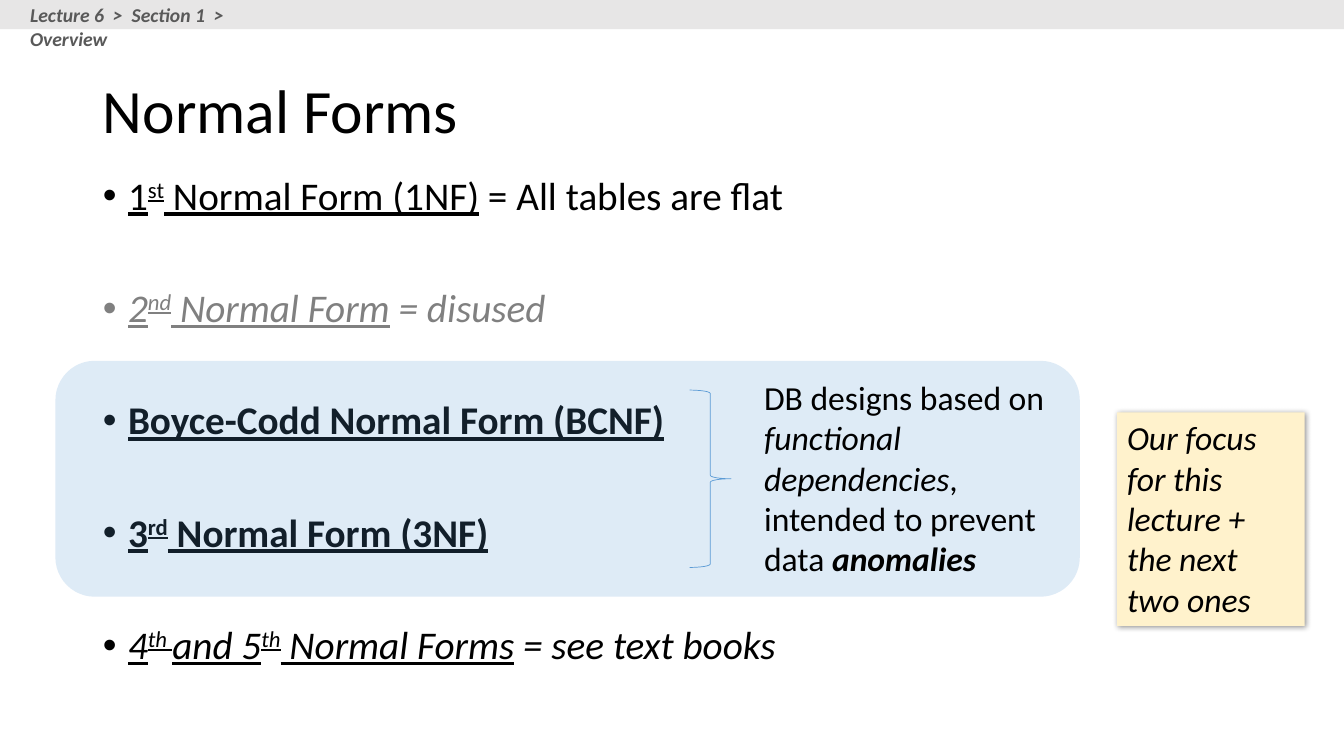
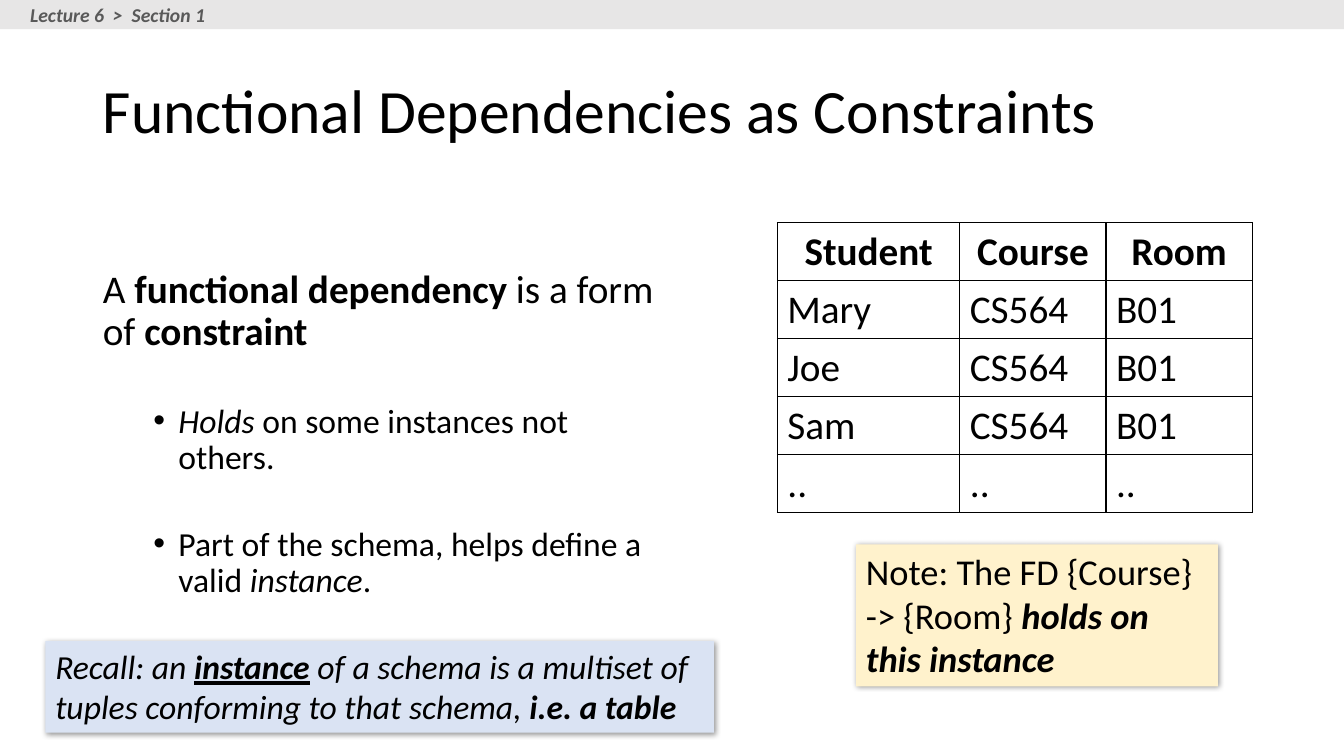
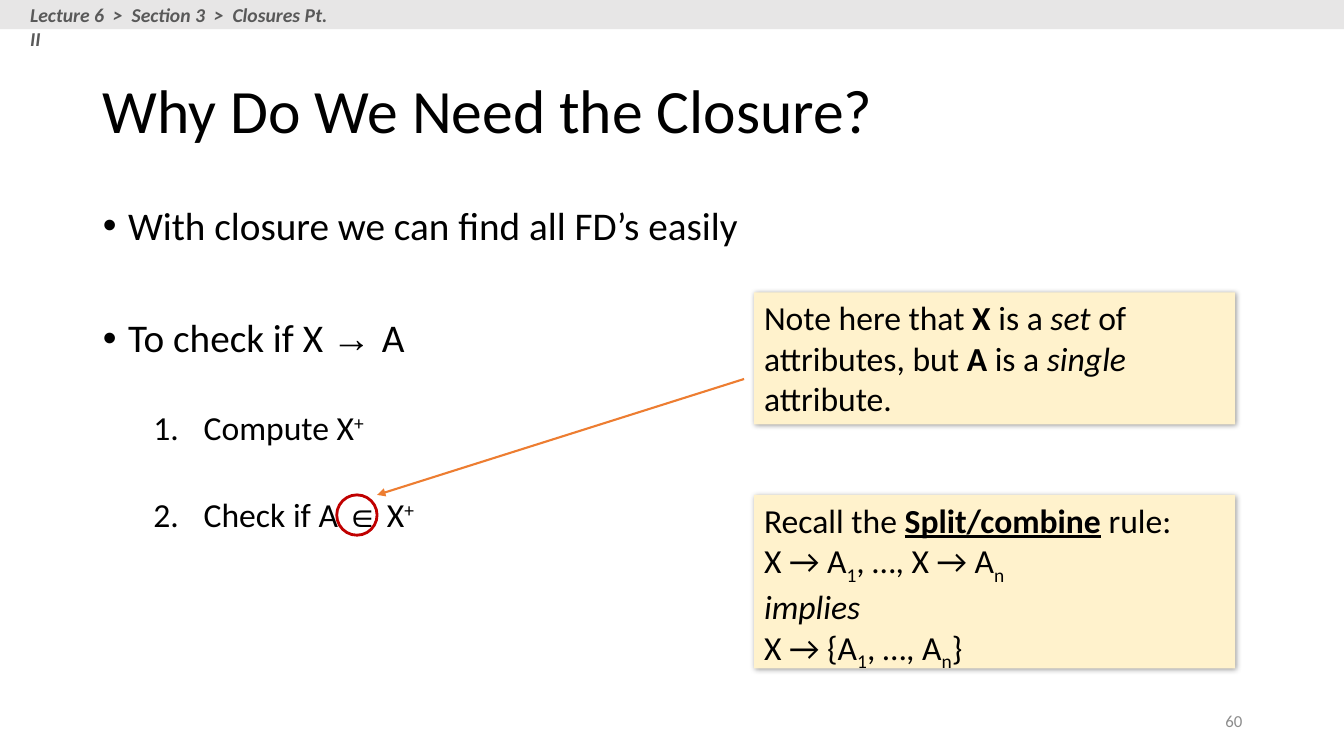
from dataclasses import dataclass

from lxml.etree import SubElement
from pptx import Presentation
from pptx.dml.color import RGBColor
from pptx.enum.shapes import MSO_CONNECTOR, MSO_SHAPE
from pptx.enum.text import MSO_ANCHOR, MSO_AUTO_SIZE, PP_ALIGN
from pptx.oxml.ns import qn
from pptx.util import Inches, Pt

COLORS = {
    "black": "000000",
    "muted": "808080",
    "page number": "8C8C8C",
    "band": "E7E6E6",
    "breadcrumb": "595959",
    "highlight": "5B9BD5",
    "yellow note": "FFF2CC",
    "blue note": "DAE3F3",
    "ring": "C00000",
    "arrow": "ED7D31",
}
FONT = "Calibri"
SYMBOL_FONT = "Arial"
SLIDE_WIDTH = 13.33
TITLE_ONLY, TITLE_AND_BODY = 5, 1
TITLE_BOX = (0.92, 0.4, 11.5, 1.45)
ITEM_GAP, SUBITEM_GAP = 50, 36
BASELINES = {"^": "30000", "_": "-25000"}


@dataclass
class Line:
    """A paragraph: runs are strings or (text, style) pairs.

    Style letters: b bold, i italic, u underline, s symbol font,
    ^ superscript, _ subscript.
    """
    runs: list
    size: int = 24
    style: str = ""
    color: str = "black"
    align: PP_ALIGN = PP_ALIGN.LEFT
    bullet: str = ""
    level: int = 0
    left: float = 0
    hanging: float = 0
    gap: int = 0
    spacing: float = 1.0


def rgb(name):
    return RGBColor.from_string(COLORS[name])


def inches(box):
    return [Inches(length) for length in box]


def item(*runs, **options):
    settings = dict(size=28, bullet="•", left=0.25, hanging=0.25,
                    gap=ITEM_GAP, spacing=0.9)
    return Line(list(runs), **{**settings, **options})


def subitem(*runs, **options):
    settings = dict(size=24, level=1, left=0.75, gap=SUBITEM_GAP)
    return item(*runs, **{**settings, **options})


def step(*runs):
    return subitem(*runs, bullet="1.", left=1, hanging=0.5)


def set_style(font, style):
    if "b" in style:
        font.bold = True
    if "i" in style:
        font.italic = True
    if "u" in style:
        font.underline = True


def set_bullet(paragraph, line):
    properties = paragraph._p.get_or_add_pPr()
    properties.set("marL", str(Inches(line.left)))
    properties.set("indent", str(-Inches(line.hanging)))
    if line.bullet == "•":
        SubElement(properties, qn("a:buFont"), typeface=SYMBOL_FONT)
        SubElement(properties, qn("a:buChar"), char=line.bullet)
    elif line.bullet:
        SubElement(properties, qn("a:buFont"), typeface="+mj-lt")
        SubElement(properties, qn("a:buAutoNum"), type="arabicPeriod")
    else:
        SubElement(properties, qn("a:buNone"))


def write_line(paragraph, line):
    paragraph.level = line.level
    paragraph.alignment = line.align
    paragraph.line_spacing = line.spacing
    paragraph.space_before = Pt(line.gap)
    paragraph.space_after = Pt(0)
    set_bullet(paragraph, line)
    font = paragraph.font
    font.name = FONT
    font.size = Pt(line.size)
    font.color.rgb = rgb(line.color)
    set_style(font, line.style)
    for part in line.runs:
        text, style = (part, "") if isinstance(part, str) else part
        run = paragraph.add_run()
        run.text = text
        set_style(run.font, style)
        if "s" in style:
            run.font.name = SYMBOL_FONT
        for mark, baseline in BASELINES.items():
            if mark in style:
                run.font._element.set("baseline", baseline)


def write_lines(frame, lines, anchor=MSO_ANCHOR.TOP):
    frame.word_wrap = True
    frame.auto_size = MSO_AUTO_SIZE.NONE
    frame.vertical_anchor = anchor
    for index, line in enumerate(lines):
        paragraph = frame.add_paragraph() if index else frame.paragraphs[0]
        write_line(paragraph, line)


def fill_placeholder(placeholder, box, lines, anchor=MSO_ANCHOR.TOP):
    placeholder.left, placeholder.top, placeholder.width, placeholder.height = inches(box)
    write_lines(placeholder.text_frame, lines, anchor)


def add_text(slide, box, lines, anchor=MSO_ANCHOR.TOP):
    shape = slide.shapes.add_textbox(*inches(box))
    write_lines(shape.text_frame, lines, anchor)


def add_plain_shape(slide, kind, box, fill=None, line=None, line_width=1):
    shape = slide.shapes.add_shape(kind, *inches(box))
    shape.shadow.inherit = False
    if fill:
        shape.fill.solid()
        shape.fill.fore_color.rgb = rgb(fill)
    else:
        shape.fill.background()
    if line:
        shape.line.color.rgb = rgb(line)
        shape.line.width = Pt(line_width)
    else:
        shape.line.fill.background()
    return shape


def set_opacity(shape, percent):
    color = shape.fill._xPr.find(qn("a:solidFill"))[0]
    SubElement(color, qn("a:alpha"), val=str(percent * 1000))


def add_note(slide, box, lines, fill="yellow note"):
    """Filled box with a soft shadow towards the lower right."""
    shape = add_plain_shape(slide, MSO_SHAPE.RECTANGLE, box, fill)
    effects = shape._element.spPr.find(qn("a:effectLst"))
    shadow = SubElement(effects, qn("a:outerShdw"), blurRad=str(Pt(4)),
                        dist=str(Pt(1)), dir="2700000", algn="tl", rotWithShape="0")
    color = SubElement(shadow, qn("a:srgbClr"), val=COLORS["black"])
    SubElement(color, qn("a:alpha"), val="40000")
    write_lines(shape.text_frame, lines)


def add_arrow(slide, start, end):
    arrow = slide.shapes.add_connector(MSO_CONNECTOR.STRAIGHT, *inches(start + end))
    arrow.line.color.rgb = rgb("arrow")
    arrow.line.width = Pt(1.5)
    SubElement(arrow.line._get_or_add_ln(), qn("a:tailEnd"), type="triangle")
    SubElement(arrow._element.spPr, qn("a:effectLst"))


def set_borders(cell):
    properties = cell._tc.get_or_add_tcPr()
    for side in ("lnL", "lnR", "lnT", "lnB"):
        border = SubElement(properties, qn(f"a:{side}"), w=str(Pt(1)))
        fill = SubElement(border, qn("a:solidFill"))
        SubElement(fill, qn("a:srgbClr"), val=COLORS["black"])


def add_grid(slide, left, top, column_widths, row_height, rows):
    """Bordered table whose first row is a bold, centred header."""
    box = (left, top, sum(column_widths), row_height * len(rows))
    table = slide.shapes.add_table(len(rows), len(column_widths), *inches(box)).table
    table.first_row = table.horz_banding = False
    for column, width in zip(table.columns, column_widths):
        column.width = Inches(width)
    for row_index, texts in enumerate(rows):
        table.rows[row_index].height = Inches(row_height)
        header = row_index == 0
        for column_index, text in enumerate(texts):
            cell = table.cell(row_index, column_index)
            set_borders(cell)
            cell.fill.background()
            write_line(cell.text_frame.paragraphs[0],
                       Line([text], size=28, style="b" if header else "",
                            align=PP_ALIGN.CENTER if header else PP_ALIGN.LEFT))


def add_slide(presentation, layout, title):
    slide = presentation.slides.add_slide(presentation.slide_layouts[layout])
    fill_placeholder(slide.shapes.title, TITLE_BOX,
                     [Line([title], size=44, spacing=0.9)], MSO_ANCHOR.MIDDLE)
    return slide


def add_breadcrumb(slide, width, *steps):
    add_plain_shape(slide, MSO_SHAPE.RECTANGLE, (0, 0, SLIDE_WIDTH, 0.29), "band")
    add_text(slide, (0.2, -0.02, width, 0.34),
             [Line(["  >  ".join(steps)], size=14, style="bi", color="breadcrumb")])


def build_normal_forms(presentation):
    slide = add_slide(presentation, TITLE_AND_BODY, "Normal Forms")
    fill_placeholder(slide.placeholders[1], (0.92, 1.7, 11.5, 5.06), [
        item(("1", "u"), ("st", "u^"), (" Normal Form (1NF)", "u"),
             " = All tables are flat", gap=0),
        item(("2", "u"), ("nd", "u^"), (" Normal Form", "u"), " = disused",
             style="i", color="muted"),
        item("Boyce-Codd Normal Form (BCNF)", style="bu"),
        item("3", ("rd", "^"), " Normal Form (3NF)", style="bu"),
        item(("4", "u"), ("th ", "u^"), ("and 5", "u"), ("th", "u^"),
             (" Normal Forms", "u"), " = see text books", style="i"),
    ])
    highlight = add_plain_shape(slide, MSO_SHAPE.ROUNDED_RECTANGLE,
                                (0.55, 3.58, 10.16, 2.34), "highlight")
    set_opacity(highlight, 20)
    add_plain_shape(slide, MSO_SHAPE.RIGHT_BRACE, (6.84, 3.87, 0.41, 1.76),
                    line="highlight", line_width=0.5)
    add_text(slide, (7.48, 3.69, 3.13, 2.12), [
        Line(["DB designs based on ", ("functional dependencies", "i"),
              ", intended to prevent data ", ("anomalies", "bi")])])
    add_note(slide, (11.08, 4.09, 1.86, 2.12),
             [Line(["Our focus for this lecture + the next two ones"], style="i")])
    add_breadcrumb(slide, 2.9, "Lecture 6", "Section 1", "Overview")


def build_constraints(presentation):
    slide = add_slide(presentation, TITLE_AND_BODY,
                      "Functional Dependencies as Constraints")
    add_grid(slide, 7.71, 2.21, (1.81, 1.45, 1.45), 0.57, [
        ("Student", "Course", "Room"),
        ("Mary", "CS564", "B01"),
        ("Joe", "CS564", "B01"),
        ("Sam", "CS564", "B01"),
        ("..", "..", ".."),
    ])
    add_note(slide, (8.49, 5.4, 3.59, 1.41), [
        Line(["Note: The FD {Course} -> {Room} ", ("holds on this instance", "bi")],
             size=26)])
    fill_placeholder(slide.placeholders[1], (0.92, 2.62, 5.7, 4.38), [
        item("A ", ("functional dependency ", "b"), "is a form of ",
             ("constraint", "b"), bullet="", left=0, hanging=0, gap=0),
        subitem(("Holds", "i"), " on some instances not others."),
        subitem("Part of the schema, helps define a valid ", ("instance", "i"), "."),
    ])
    add_breadcrumb(slide, 2, "Lecture 6", "Section 1")
    add_note(slide, (0.45, 6.36, 6.63, 0.91), [
        Line(["Recall: an ", ("instance", "bu"),
              " of a schema is a multiset of tuples conforming to that schema, ",
              ("i.e. a table", "b")], style="i")], "blue note")


def build_closure(presentation):
    slide = add_slide(presentation, TITLE_AND_BODY, "Why Do We Need the Closure?")
    add_text(slide, (9.42, 6.95, 3, 0.4),
             [Line(["60"], size=12, color="page number", align=PP_ALIGN.RIGHT)],
             MSO_ANCHOR.MIDDLE)
    fill_placeholder(slide.placeholders[1], (0.92, 2, 11.5, 4.76), [
        item("With closure we can find all FD’s easily", gap=0),
        item("To check if X ", ("→ ", "s"), "A"),
        step("Compute X", ("+", "^")),
        step("Check if A ", ("∈", "s"), " X", ("+", "^")),
    ])
    add_note(slide, (7.48, 2.9, 4.77, 1.31), [
        Line(["Note here that ", ("X", "b"), " is a ", ("set", "i"),
              " of attributes, but ", ("A", "b"), " is a ", ("single", "i"),
              " attribute."])])
    add_plain_shape(slide, MSO_SHAPE.OVAL, (3.34, 4.91, 0.4, 0.4),
                    line="ring", line_width=2)
    add_arrow(slide, (7.38, 3.76), (3.74, 4.91))
    add_note(slide, (7.48, 4.91, 4.77, 1.72), [
        Line(["Recall the ", ("Split/combine", "bu"), " rule:"]),
        Line(["X → A", ("1", "_"), ", …, X → A", ("n", "_")]),
        Line(["implies"], style="i"),
        Line(["X → {A", ("1", "_"), ", …, A", ("n", "_"), "}"]),
    ])
    add_breadcrumb(slide, 3.2, "Lecture 6", "Section 3", "Closures Pt. II")


def main():
    presentation = Presentation()
    presentation.slide_width = Inches(SLIDE_WIDTH)
    presentation.slide_height = Inches(7.5)
    build_normal_forms(presentation)
    build_constraints(presentation)
    build_closure(presentation)
    presentation.save("out.pptx")


if __name__ == "__main__":
    main()
